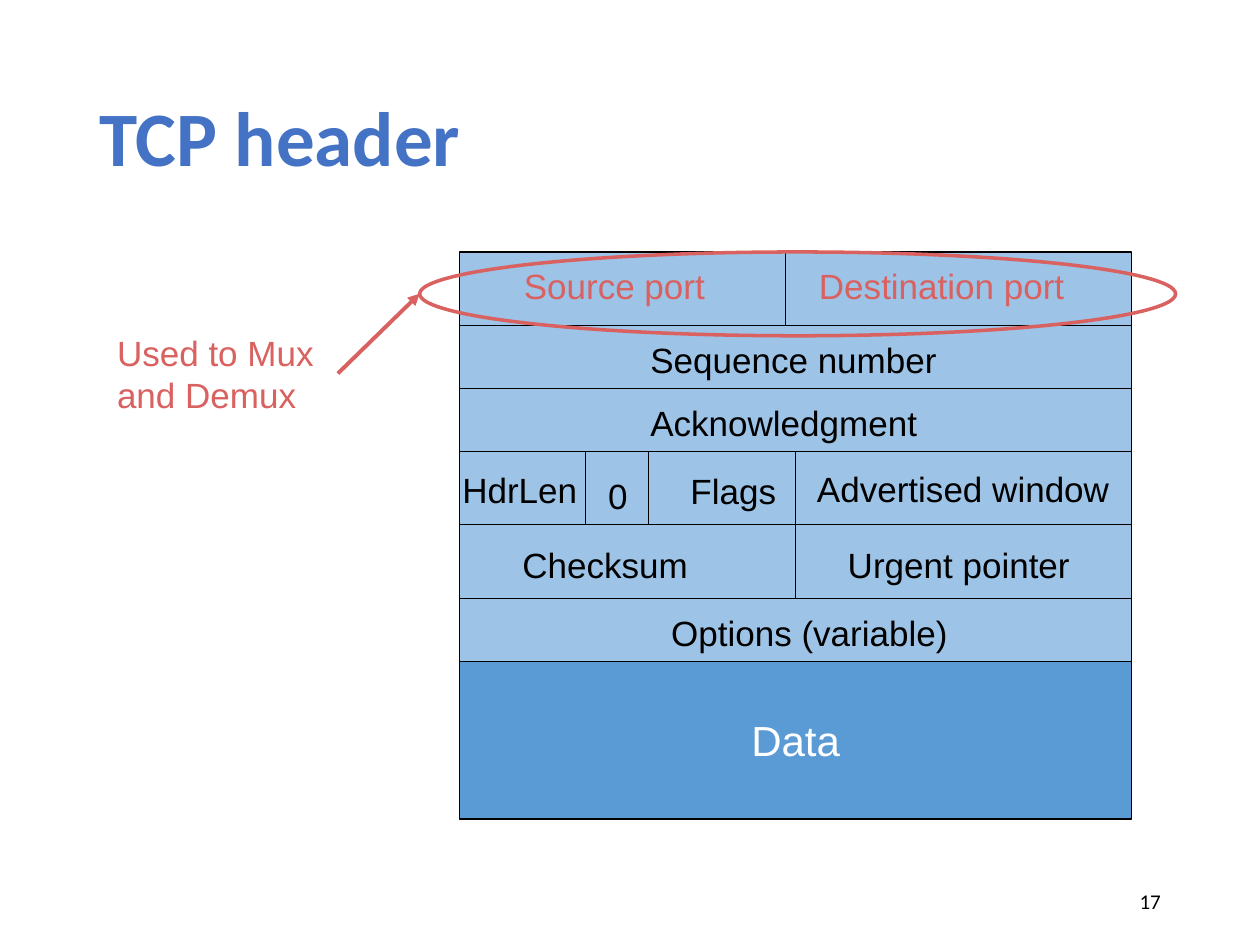
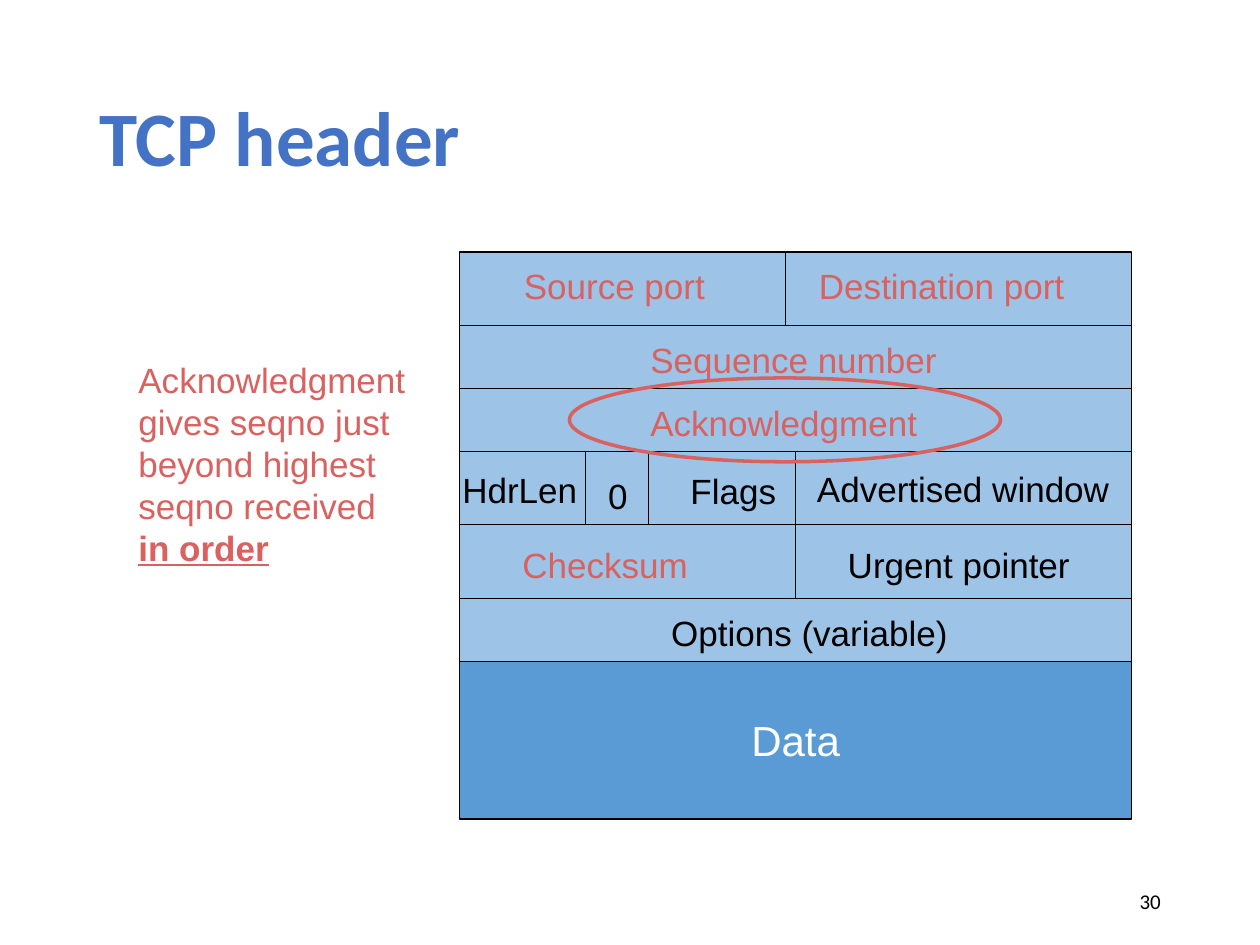
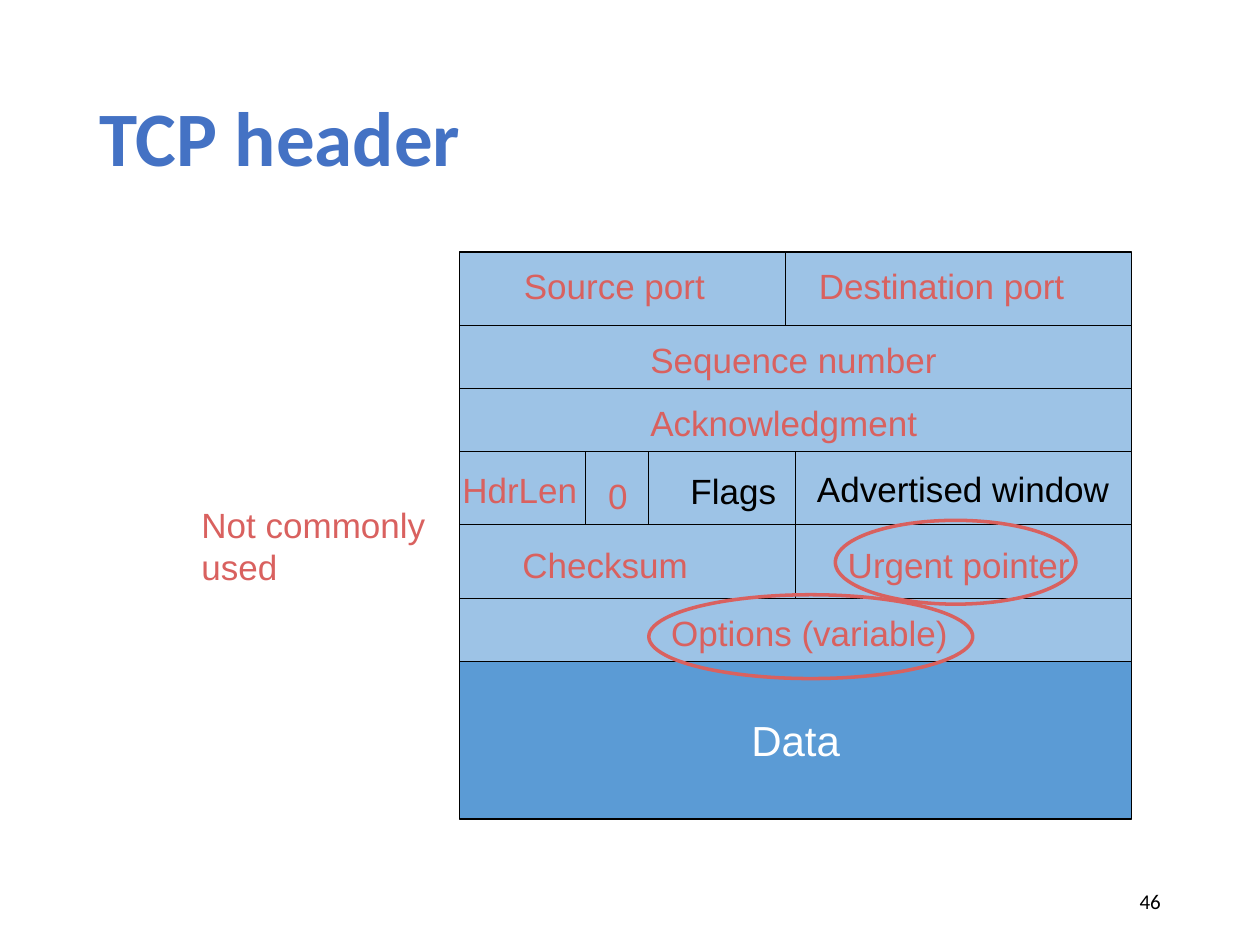
import dataclasses

import pptx
import pptx.dml.color
import pptx.enum.shapes
import pptx.enum.text
import pptx.oxml
import pptx.oxml.ns
import pptx.util

Cm = pptx.util.Cm
Pt = pptx.util.Pt
SHAPE = pptx.enum.shapes.MSO_SHAPE
ALIGN = pptx.enum.text.PP_ALIGN
ANCHOR = pptx.enum.text.MSO_ANCHOR
AUTO_SIZE = pptx.enum.text.MSO_AUTO_SIZE


@dataclasses.dataclass(frozen=True)
class Theme:
    title_color: str = "4472C4"
    accent: str = "D9615F"
    ink: str = "000000"
    field_fill: str = "9DC3E6"
    data_fill: str = "5B9BD5"
    data_ink: str = "FFFFFF"
    title_font: str = "Calibri"
    body_font: str = "Arial"
    title_size: float = 44
    data_size: float = 24
    body_size: float = 20
    number_size: float = 12
    border: float = 0.75
    ring: float = 2
    arrow: float = 2.25


@dataclasses.dataclass(frozen=True)
class Field:
    """A field name: its row, left edge and width, and drop below the row's top, in cm."""
    text: str
    row: int
    left: float
    width: float
    drop: float = 0.13
    filled: bool = True


THEME = Theme()
HEADER_LEFT, HEADER_TOP, HEADER_WIDTH = 9.27, 5.08, 13.54
HALF = HEADER_WIDTH / 2
TALL, SHORT, DATA_HEIGHT = 1.48, 1.27, 3.18
LABEL_HEIGHT, RING_HEIGHT = 1.1, 1.69

# Height of each header row and the widths of its cells
ROWS = [
    (TALL, [6.56, 6.98]),
    (SHORT, [HEADER_WIDTH]),
    (SHORT, [HEADER_WIDTH]),
    (TALL, [HALF, HALF]),
    (TALL, [HALF, HALF]),
    (SHORT, [HEADER_WIDTH]),
]
ROW_TOPS = [HEADER_TOP + sum(height for height, _ in ROWS[:i])
            for i in range(len(ROWS) + 1)]
FLAGS_ROW = 3
FLAGS_DIVIDERS = [2.54, 3.81]

FIELDS = [
    Field("Source port", 0, 10.31, 4.25),
    Field("Destination port", 0, 16.26, 5.55),
    Field("Sequence number", 1, 12.86, 6.4),
    Field("Acknowledgment", 2, 12.86, 6),
    Field("Advertised window", 3, 16.22, 6.5, 0.2),
    Field("HdrLen", 3, 9.07, 2.97, 0.22, filled=False),
    Field("Flags", 3, 13.67, 2.3, 0.25),
    Field("0", 3, 12.01, 0.95, 0.35),
    Field("Checksum", 4, 10.28, 3.95, 0.25),
    Field("Urgent pointer", 4, 16.84, 5.05, 0.25),
    Field("Options (variable)", 5, 13.28, 6.2, 0.14),
]

PORTS = {"Source port", "Destination port"}
RELIABILITY = PORTS | {"Sequence number", "Acknowledgment", "Checksum"}
ALL_EXPLAINED = RELIABILITY | {"HdrLen", "0", "Urgent pointer", "Options (variable)"}


def rgb(color):
    return pptx.dml.color.RGBColor.from_string(color)


def box(left, top, width, height):
    return Cm(left), Cm(top), Cm(width), Cm(height)


def add_run(paragraph, text, size, color, font=THEME.body_font, bold=None, underline=None):
    run = paragraph.add_run()
    run.text = text
    run.font.name = font
    run.font.size = Pt(size)
    run.font.color.rgb = rgb(color)
    run.font.bold = bold
    run.font.underline = underline


def add_title(slide, text):
    title = slide.shapes.title
    title.left, title.top, title.width, title.height = box(1.75, 1.02, 21.9, 3.68)
    frame = title.text_frame
    frame.auto_size = AUTO_SIZE.NONE
    frame.vertical_anchor = ANCHOR.MIDDLE
    paragraph = frame.paragraphs[0]
    paragraph.alignment = ALIGN.LEFT
    paragraph.line_spacing = 0.9
    add_run(paragraph, text, THEME.title_size, THEME.title_color, THEME.title_font, bold=True)


def add_slide_number(slide, number):
    frame = slide.shapes.add_textbox(*box(17.93, 17.65, 5.72, 1.02)).text_frame
    frame.word_wrap = True
    frame.vertical_anchor = ANCHOR.MIDDLE
    frame.paragraphs[0].alignment = ALIGN.RIGHT
    add_run(frame.paragraphs[0], str(number), THEME.number_size, THEME.ink, THEME.title_font)


def add_cell(slide, left, top, width, height, fill=THEME.field_fill):
    cell = slide.shapes.add_shape(SHAPE.RECTANGLE, *box(left, top, width, height))
    cell.shadow.inherit = False
    cell.fill.solid()
    cell.fill.fore_color.rgb = rgb(fill)
    cell.line.color.rgb = rgb(THEME.ink)
    cell.line.width = Pt(THEME.border)
    return cell


def add_line(slide, start, end, color, width):
    line = slide.shapes.add_connector(
        pptx.enum.shapes.MSO_CONNECTOR.STRAIGHT, *map(Cm, start + end))
    line.line.color.rgb = rgb(color)
    line.line.width = Pt(width)
    properties = line._element.spPr
    properties.append(properties.makeelement(pptx.oxml.ns.qn("a:effectLst"), {}))
    return line


def add_field_label(slide, field, color):
    label = slide.shapes.add_textbox(
        *box(field.left, ROW_TOPS[field.row] + field.drop, field.width, LABEL_HEIGHT))
    if field.filled:
        label.fill.solid()
        label.fill.fore_color.rgb = rgb(THEME.field_fill)
    label.text_frame.word_wrap = True
    label.text_frame.auto_size = AUTO_SIZE.SHAPE_TO_FIT_TEXT
    add_run(label.text_frame.paragraphs[0], field.text, THEME.body_size, color)


def add_data_block(slide):
    block = add_cell(slide, HEADER_LEFT, ROW_TOPS[-1], HEADER_WIDTH, DATA_HEIGHT,
                     THEME.data_fill)
    frame = block.text_frame
    frame.word_wrap = False
    frame.vertical_anchor = ANCHOR.MIDDLE
    frame.paragraphs[0].alignment = ALIGN.CENTER
    add_run(frame.paragraphs[0], "Data", THEME.data_size, THEME.data_ink)


def add_tcp_header(slide, explained):
    """Draw the header layout, with the explained fields in the accent colour."""
    for top, (height, widths) in zip(ROW_TOPS, ROWS):
        left = HEADER_LEFT
        for width in widths:
            add_cell(slide, left, top, width, height)
            left += width
    for field in FIELDS:
        add_field_label(slide, field,
                        THEME.accent if field.text in explained else THEME.ink)
    for offset in FLAGS_DIVIDERS:
        x = HEADER_LEFT + offset
        add_line(slide, (x, ROW_TOPS[FLAGS_ROW]), (x, ROW_TOPS[FLAGS_ROW + 1]),
                 THEME.ink, THEME.border)
    add_data_block(slide)


def add_note(slide, left, top, width, height, paragraphs, wrap=True):
    """Add an accent note; each paragraph is a list of (text, stressed) pairs."""
    note = slide.shapes.add_textbox(*box(left, top, width, height))
    frame = note.text_frame
    frame.word_wrap = wrap
    frame.auto_size = AUTO_SIZE.SHAPE_TO_FIT_TEXT
    for i, runs in enumerate(paragraphs):
        paragraph = frame.add_paragraph() if i else frame.paragraphs[0]
        for text, stressed in runs:
            add_run(paragraph, text, THEME.body_size, THEME.accent,
                    bold=stressed, underline=stressed)
    return note


def add_ring(slide, left, top, width):
    ring = slide.shapes.add_shape(SHAPE.OVAL, *box(left, top, width, RING_HEIGHT))
    ring.shadow.inherit = False
    ring.fill.background()
    ring.line.color.rgb = rgb(THEME.accent)
    ring.line.width = Pt(THEME.ring)


def add_arrow_from_note(slide, note, end):
    arrow = add_line(slide, (0, 0), end, THEME.accent, THEME.arrow)
    arrow.begin_connect(note, 3)
    outline = arrow.line._get_or_add_ln()
    outline.append(outline.makeelement(pptx.oxml.ns.qn("a:tailEnd"), {"type": "triangle"}))


def add_header_slide(deck, number, explained):
    slide = deck.slides.add_slide(deck.slide_layouts[5])
    add_title(slide, "TCP header")
    add_tcp_header(slide, explained)
    add_slide_number(slide, number)
    return slide


def main():
    deck = pptx.Presentation()
    deck.slide_width, deck.slide_height = Cm(25.4), Cm(19.05)

    ports = add_header_slide(deck, 17, PORTS)
    mux_note = add_note(ports, 2.11, 6.55, 4.7, 1.96,
                        [[("Used to Mux", None)], [("and Demux", None)]], wrap=False)
    add_ring(ports, 8.46, 5.08, 15.24)
    add_arrow_from_note(ports, mux_note, (8.46, 5.92))

    acknowledgment = add_header_slide(deck, 30, RELIABILITY)
    add_ring(acknowledgment, 11.48, 7.62, 8.69)
    add_note(acknowledgment, 2.54, 7.1, 5.94, 4.52, [[
        ("Acknowledgment gives seqno just beyond highest seqno received ", None),
        ("in order", True)]])

    rarely_used = add_header_slide(deck, 46, ALL_EXPLAINED)
    add_note(rarely_used, 3.81, 10.03, 5.03, 1.96, [[("Not commonly used", None)]])
    add_ring(rarely_used, 16.84, 10.49, 4.85)
    add_ring(rarely_used, 13.08, 11.99, 6.53)

    deck.save("out.pptx")


if __name__ == "__main__":
    main()
